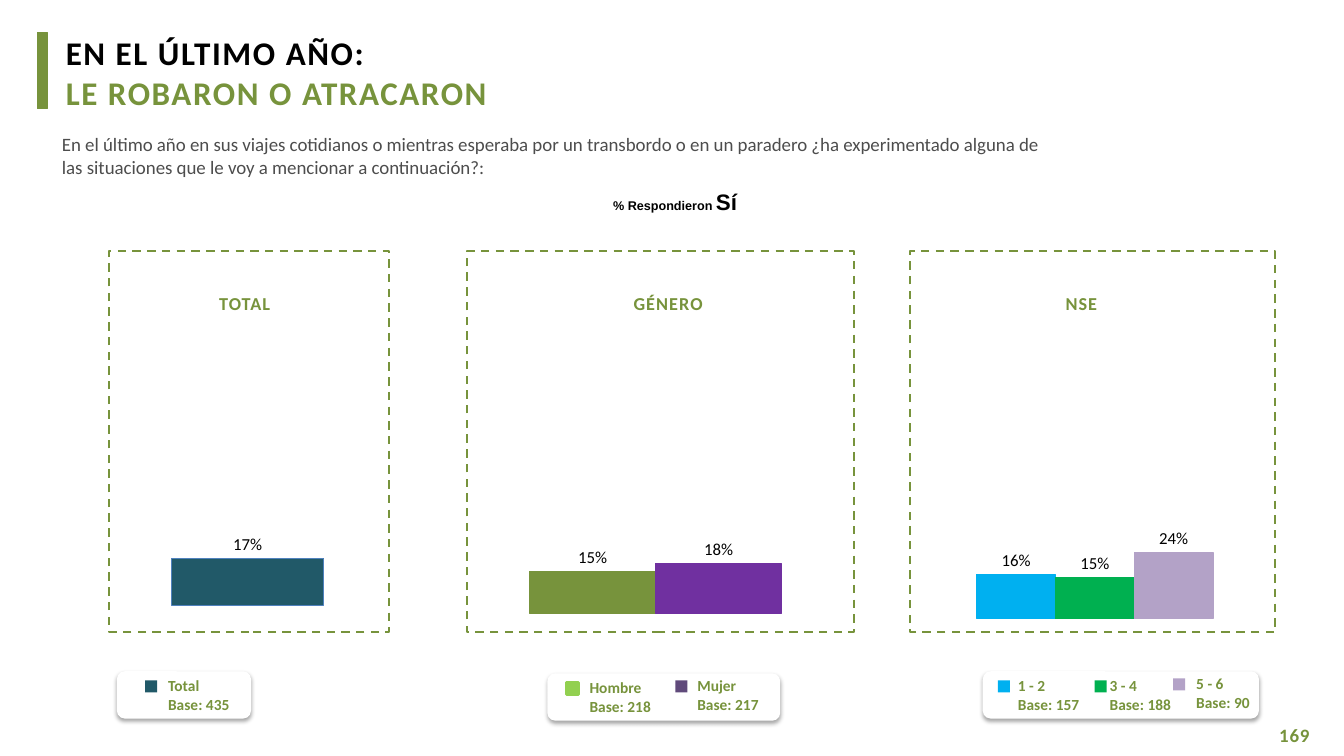
from lxml import etree
from pptx import Presentation
from pptx.chart import data as chart_data
from pptx.dml import color
from pptx.enum import chart, dml, shapes, text
from pptx.oxml import ns, parse_xml
from pptx.util import Pt

GREEN, BLACK, GRAY, WHITE = "77933C", "000000", "4D4D4D", "FFFFFF"
NO_INSETS = (1, 0.7, 0, 0)

FRAME_TOP, FRAME_HEIGHT = 179.3, 272.2
CHART_TOP, CHART_WIDTH = 234, 242.6
HEADING_TOP, HEADING_WIDTH = 208, 170
CARD_HEIGHT, MARKER_SIZE = 33.8, 8.6

# frame: left, width; chart: left, height; plot: x, y, w, h as fractions;
# bars: value, fill, outline; card: left, top, width;
# legend: marker left, marker top, text left, text width, marker colour, label, base
PANELS = [
    dict(heading="TOTAL", heading_left=89.3, frame=(77.8, 200.2), chart=(60.5, 208),
         plot=(0.166, 0.008, 0.628, 0.946), bars=[(0.17, "215968", "4F81BD")],
         card=(83.5, 479.5, 95.8),
         legend=[(103.7, 486, 113, 59, "215968", "Total", 435)]),
    dict(heading="GÉNERO", heading_left=391.7, frame=(333.4, 276.5), chart=(350, 211.7),
         plot=(0.042, 0.037, 0.892, 0.927),
         bars=[(0.15, GREEN, GREEN), (0.18, "7030A0", "7030A0")],
         card=(391, 481, 166.3),
         legend=[(404.6, 487.4, 414, 59, "92D050", "Hombre", 218),
                 (482.4, 486, 491, 59, "604A7B", "Mujer", 217)]),
    dict(heading="NSE", heading_left=686.9, frame=(650.2, 260.6), chart=(663.1, 211.7),
         plot=(0.096, 0.056, 0.789, 0.927),
         bars=[(0.16, "00B0F0", "00B0F0"), (0.15, "00B050", "00B050"),
               (0.24, "B3A2C7", "B3A2C7")],
         card=(702, 479.5, 197.3),
         legend=[(712.8, 486, 720, 59, "00B0F0", "1 - 2", 157),
                 (781.9, 486, 785.5, 59, "00B050", "3 - 4", 188),
                 (838, 484.6, 847.4, 53.3, "B3A2C7", "5 - 6", 90)]),
]


def rgb(hex_code):
    return color.RGBColor.from_string(hex_code)


def points(*lengths):
    return [Pt(length) for length in lengths]


class SlideBuilder:
    def __init__(self, slide, font="Calibri"):
        self.slide = slide
        self.font = font

    def style(self, font, size, hex_code, bold=False, name=None):
        font.name, font.size, font.bold = name or self.font, Pt(size), bold
        font.color.rgb = rgb(hex_code)

    def frame_text(self, holder, insets, wrap=True):
        """Prepare the text frame of a box and return it."""
        frame = holder.text_frame
        frame.word_wrap = wrap
        frame.auto_size = text.MSO_AUTO_SIZE.NONE
        frame.vertical_anchor = text.MSO_ANCHOR.TOP
        (frame.margin_left, frame.margin_top,
         frame.margin_right, frame.margin_bottom) = points(*insets)
        return frame

    def fill_lines(self, frame, lines, size, colors, bold=True, spacing=0,
                   align=text.PP_ALIGN.LEFT, gap=0):
        """Fill a frame with one paragraph per line; colors holds one per line."""
        for index, (line, hex_code) in enumerate(zip(lines, colors)):
            paragraph = frame.paragraphs[0] if index == 0 else frame.add_paragraph()
            paragraph.text = line
            paragraph.alignment = align
            paragraph.space_before = Pt(gap if index else 0)
            if spacing:
                paragraph.font._rPr.set("spc", str(round(spacing * 100)))
            self.style(paragraph.font, size, hex_code, bold)

    def placeholder(self, holder, box, lines, size, colors, **options):
        holder.left, holder.top, holder.width, holder.height = points(*box)
        frame = self.frame_text(holder, NO_INSETS)
        for paragraph in frame.paragraphs:
            properties = paragraph._p.get_or_add_pPr()
            properties.set("marL", "0")
            properties.set("indent", "0")
            if holder.placeholder_format.idx:
                etree.SubElement(properties, ns.qn("a:buNone"))
        self.fill_lines(frame, lines, size, colors, **options)

    def label(self, box, lines, size, parent=None, insets=NO_INSETS, wrap=True, **options):
        holder = (parent or self.slide).shapes.add_textbox(*points(*box))
        frame = self.frame_text(holder, insets, wrap)
        self.fill_lines(frame, lines, size, [GREEN] * len(lines), **options)

    def shape(self, kind, box, fill=None, line=None, width=0.75, dash=None, parent=None):
        item = (parent or self.slide).shapes.add_shape(kind, *points(*box))
        item.shadow.inherit = False
        if fill:
            item.fill.solid()
            item.fill.fore_color.rgb = rgb(fill)
        else:
            item.fill.background()
        if line:
            item.line.color.rgb = rgb(line)
            item.line.width = Pt(width)
            item.line.dash_style = dash
        else:
            item.line.fill.background()
        return item

    def answer_note(self, box, intro, answer):
        holder = self.slide.shapes.add_textbox(*points(*box))
        paragraph = self.frame_text(holder, (3, 3, 3, 3), wrap=False).paragraphs[0]
        paragraph.line_spacing = Pt(21)
        self.style(paragraph.font, 9, BLACK, True, "Arial")
        paragraph.add_run().text = intro
        emphasis = paragraph.add_run()
        emphasis.text = answer
        emphasis.font.size = Pt(16)

    def columns(self, box, plot_box, bars):
        """Add a column chart with one series per bar."""
        values = chart_data.CategoryChartData(number_format="0%")
        values.categories = ["1"]
        for number, (value, _, _) in enumerate(bars, 1):
            values.add_series(f"Series {number}", [value])
        graph = self.slide.shapes.add_chart(
            chart.XL_CHART_TYPE.COLUMN_CLUSTERED, *points(*box), values).chart
        graph.has_legend = graph.has_title = False
        self.style(graph.font, 10, BLACK)
        axis = graph.value_axis
        axis.minimum_scale, axis.maximum_scale = 0, 1
        axis.has_major_gridlines = False
        axis.visible = graph.category_axis.visible = False
        plot = graph.plots[0]
        plot.gap_width, plot.overlap, plot.vary_by_categories = 40, 0, False
        plot.has_data_labels = True
        labels = plot.data_labels
        labels.show_value = True
        labels.number_format, labels.number_format_is_linked = "0%", False
        labels.position = chart.XL_LABEL_POSITION.OUTSIDE_END
        self.style(labels.font, 12, BLACK)
        for series, (_, fill, line) in zip(plot.series, bars):
            series.format.fill.solid()
            series.format.fill.fore_color.rgb = rgb(fill)
            series.format.line.color.rgb = rgb(line)
            series.format.line.width = Pt(0.75)
        self.place_plot(graph, plot_box)

    def place_plot(self, graph, plot_box):
        area = graph._chartSpace.chart.plotArea
        for old in area.findall(ns.qn("c:layout")):
            area.remove(old)
        settings = [("layoutTarget", "inner"), ("xMode", "edge"), ("yMode", "edge"),
                    *zip("xywh", plot_box)]
        body = "".join(f'<c:{tag} val="{value}"/>' for tag, value in settings)
        area.insert(0, parse_xml(f'<c:layout {ns.nsdecls("c")}><c:manualLayout>{body}'
                                 '</c:manualLayout></c:layout>'))

    def legend_card(self, left, top, width, entries):
        card = self.slide.shapes.add_group_shape()
        back = self.shape(shapes.MSO_SHAPE.ROUNDED_RECTANGLE,
                          (left, top, width, CARD_HEIGHT), WHITE, parent=card)
        back._element.spPr.find(ns.qn("a:effectLst")).append(parse_xml(
            f'<a:outerShdw {ns.nsdecls("a")} blurRad="{Pt(3.1)}" dist="{Pt(1.8)}" '
            'dir="5400000" rotWithShape="0"><a:srgbClr val="000000">'
            '<a:alpha val="35000"/></a:srgbClr></a:outerShdw>'))
        for x, y, text_left, text_width, fill, name, base in entries:
            outline = dict(line=fill, width=2) if name == "Hombre" else {}
            self.shape(shapes.MSO_SHAPE.RECTANGLE, (x, y, MARKER_SIZE, MARKER_SIZE),
                       fill, parent=card, **outline)
            self.label((text_left, y - 6.5, text_width, CARD_HEIGHT),
                       [name, f"Base: {base}"], 11, parent=card,
                       insets=(7.2, 3.6, 7.2, 3.6), wrap=False)


def main():
    deck = Presentation()
    deck.slide_width, deck.slide_height = points(960, 540)
    slide = deck.slides.add_slide(deck.slide_layouts[1])
    builder = SlideBuilder(slide)
    title, question = slide.placeholders
    builder.placeholder(title, (46, 22.3, 888, 59),
                        ["EN EL ÚLTIMO AÑO:", "LE ROBARON O ATRACARON"],
                        23.6, [BLACK, GREEN], spacing=1.1, gap=0.7)
    builder.placeholder(question, (43.2, 94.3, 715, 33.1),
                        ["En el último año en sus viajes cotidianos o mientras esperaba por un "
                         "transbordo o en un paradero ¿ha experimentado alguna de las "
                         "situaciones que le voy a mencionar a continuación?:"],
                        13.5, [GRAY], bold=False)
    builder.shape(shapes.MSO_SHAPE.RECTANGLE, (26.6, 23, 7.2, 54.7), GREEN, GREEN)
    builder.answer_note((434.9, 129.6, 95, 26.6), "% Respondieron ", "Sí")
    for panel in PANELS:
        left, width = panel["frame"]
        builder.shape(shapes.MSO_SHAPE.RECTANGLE, (left, FRAME_TOP, width, FRAME_HEIGHT),
                      line=GREEN, width=1.5, dash=dml.MSO_LINE.DASH)
        builder.label((panel["heading_left"], HEADING_TOP, HEADING_WIDTH, 16.6),
                      [panel["heading"]], 13, spacing=0.8, align=text.PP_ALIGN.CENTER)
        chart_left, chart_height = panel["chart"]
        builder.columns((chart_left, CHART_TOP, CHART_WIDTH, chart_height),
                        panel["plot"], panel["bars"])
        builder.legend_card(*panel["card"], panel["legend"])
    builder.label((909.4, 516.2, 35.3, 17.3), ["169"], 13.5, spacing=0.6,
                  insets=(4.3, 0.7, 0, 0))
    deck.save("out.pptx")


if __name__ == "__main__":
    main()
